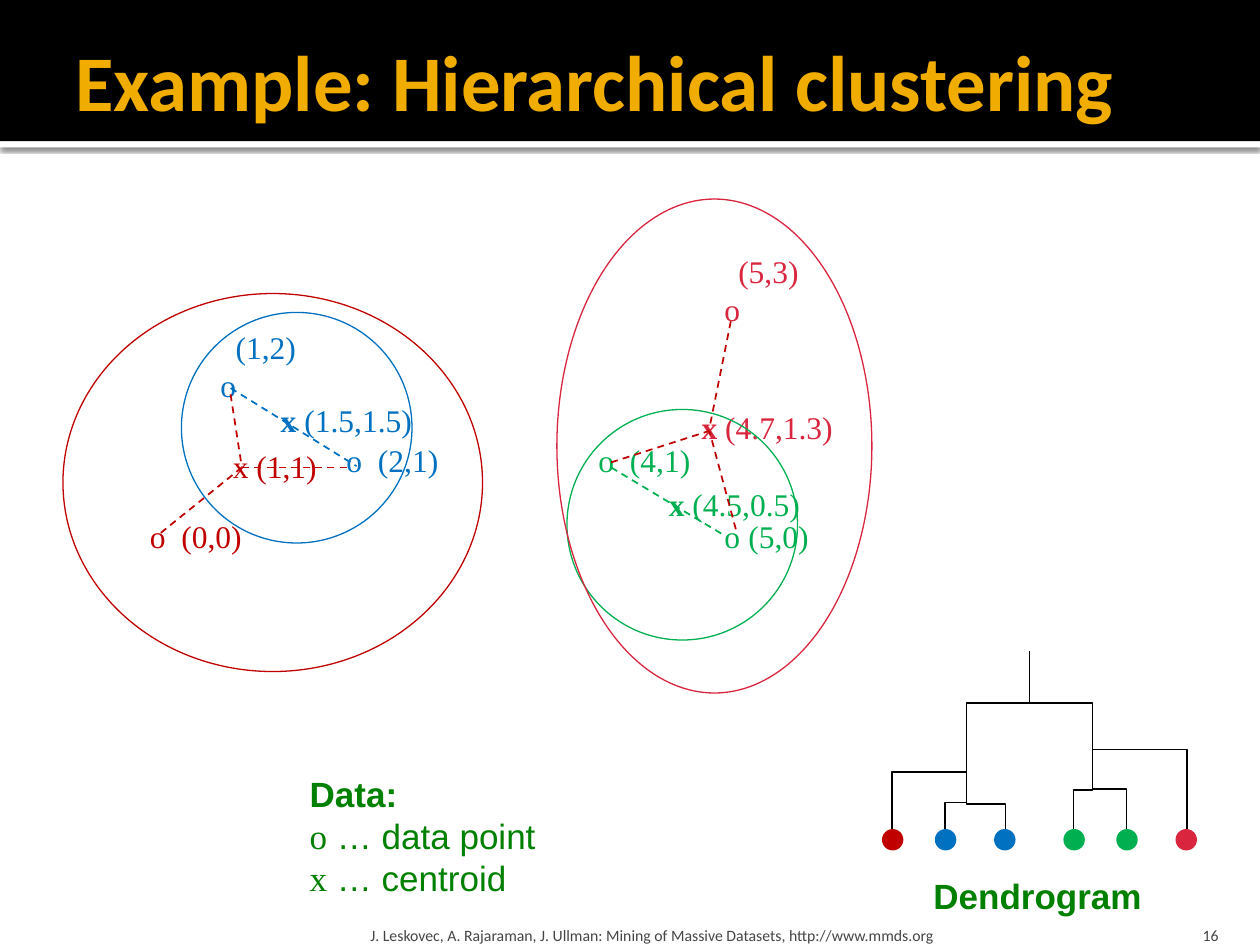
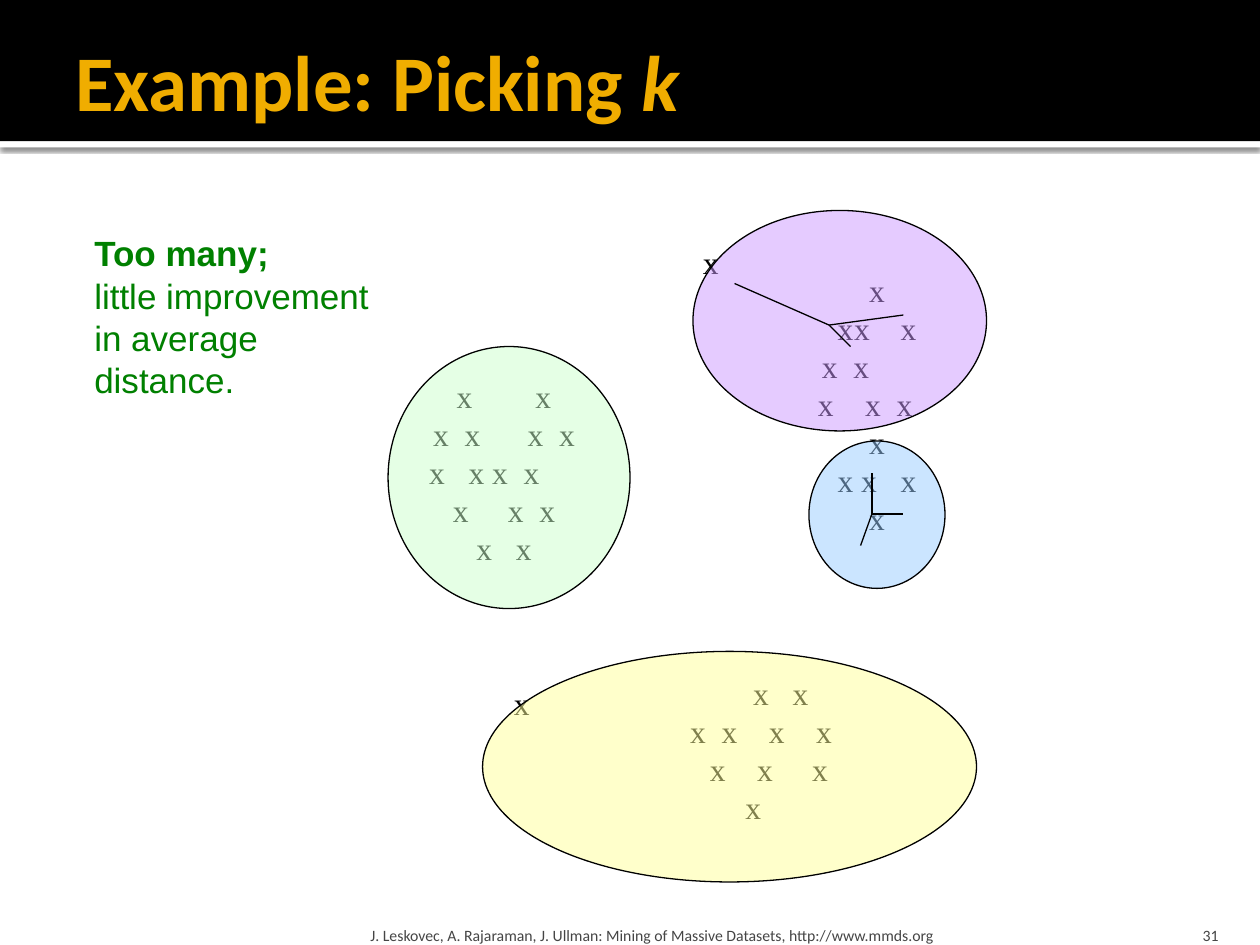
from lxml import etree
from pptx import Presentation
from pptx.dml.color import RGBColor
from pptx.enum.dml import MSO_LINE
from pptx.enum.shapes import MSO_CONNECTOR, MSO_SHAPE
from pptx.enum.text import MSO_ANCHOR, PP_ALIGN
from pptx.oxml.ns import qn
from pptx.util import Inches, Pt

RECT, OVAL = MSO_SHAPE.RECTANGLE, MSO_SHAPE.OVAL
STRAIGHT, ELBOW = MSO_CONNECTOR.STRAIGHT, MSO_CONNECTOR.ELBOW
DASH = MSO_LINE.DASH
TOP, MIDDLE, BOTTOM = MSO_ANCHOR.TOP, MSO_ANCHOR.MIDDLE, MSO_ANCHOR.BOTTOM
LEFT, RIGHT = PP_ALIGN.LEFT, PP_ALIGN.RIGHT
SERIF, SANS, HEADING = "Times New Roman", "Arial", "Calibri"
COLORS = {
    "black": "000000", "white": "FFFFFF", "gold": "F0AD00", "gray": "454545",
    "blue": "0070C0", "green": "00B050", "red": "C00000", "rose": "D9253E",
    "note": "008000", "pale yellow": "FFFF99", "pale green": "CCFFCC",
    "pale purple": "CC99FF", "pale blue": "99CCFF",
}
FOOTER = "J. Leskovec, A. Rajaraman, J. Ullman: Mining of Massive Datasets, http://www.mmds.org"
PAD = (0.1, 0.05, 0.1, 0.05)
FLUSH = (0, 0, 0, 0)
ROW = 0.3
SPACE = 1 / 16


def write(page, lines, left, top, width, height, size=18, font=SERIF, color="black",
          bold=False, align=LEFT, anchor=TOP, insets=PAD):
    box = page.shapes.add_textbox(Inches(left), Inches(top), Inches(width), Inches(height))
    frame = box.text_frame
    frame.word_wrap = True
    frame.vertical_anchor = anchor
    frame.margin_left, frame.margin_top, frame.margin_right, frame.margin_bottom = map(Inches, insets)
    for number, line in enumerate(lines):
        para = frame.paragraphs[0] if number == 0 else frame.add_paragraph()
        para.alignment = align
        para.line_spacing = Pt(round(size * 1.205, 1))
        for text, changes in line:
            span = para.add_run()
            span.text = text
            span.font.size = Pt(size)
            span.font.name = changes.get("font", font)
            span.font.bold = changes.get("bold", bold)
            span.font.italic = changes.get("italic", False)
            span.font.color.rgb = RGBColor.from_string(COLORS[color])
    return frame


def draw_line(page, start, end, color="black", width=1.0, dash=None, kind=STRAIGHT):
    line = page.shapes.add_connector(kind, *map(Inches, start + end))
    line.line.color.rgb = RGBColor.from_string(COLORS[color])
    line.line.width = Pt(width)
    if dash:
        line.line.dash_style = dash
    etree.SubElement(line._element.spPr, qn("a:effectLst"))
    return line


deck = Presentation()
deck.slide_width, deck.slide_height = Inches(10), Inches(7.5)

pages = []
for title, number in (
    ([("Example: Hierarchical clustering", {})], "16"),
    ([("Example: Picking ", {}), ("k", {"italic": True})], "31"),
):
    page = deck.slides.add_slide(deck.slide_layouts[6])
    pages.append(page)
    for color, top, height in (("white", 1.12, 0.05), ("black", 0, 1.12)):
        band = page.shapes.add_shape(RECT, 0, Inches(top), Inches(10), Inches(height))
        band.shadow.inherit = False
        band.fill.solid()
        band.fill.fore_color.rgb = RGBColor.from_string(COLORS[color])
        band.line.fill.background()
        if color == "white":
            effects = band._element.spPr.find(qn("a:effectLst"))
            shadow = etree.SubElement(effects, qn("a:outerShdw"), blurRad=str(Pt(2.5)),
                                      dist=str(Pt(0.8)), dir="5400000")
            shade = etree.SubElement(shadow, qn("a:srgbClr"), val=COLORS["black"])
            etree.SubElement(shade, qn("a:alpha"), val="60000")
    write(page, [title], 0.5, 0.17, 9, 0.92, size=45, font=HEADING, color="gold", bold=True,
          anchor=MIDDLE, insets=(0.1, 0.05, 0.05, 0.05))
    write(page, [[(FOOTER, {})]], 2.89, 7.2, 6.02, 0.3, size=9, font=HEADING, color="gray",
          anchor=BOTTOM, insets=(0.05, 0.05, 0.05, 0))
    write(page, [[(number, {})]], 8.97, 7.2, 0.8, 0.3, size=9, font=HEADING, color="gray",
          align=RIGHT, anchor=BOTTOM, insets=(0.1, 0.05, 0.1, 0))

clustering, picking = pages

for color, point_left, point_row, label, label_left, label_row in (
    ("rose", 5.75, 1, "(5,3)", 5.86, 0),
    ("blue", 1.75, 3, "(1,2)", 1.87, 2),
    ("blue", 2.75, 5, "(2,1)", 3, 5),
    ("green", 4.75, 5, "(4,1)", 5, 5),
    ("red", 1.19, 7, "(0,0)", 1.44, 7),
    ("green", 5.75, 7, "(5,0)", 5.94, 7),
):
    for text, left, row in (("o", point_left, point_row), (label, label_left, label_row)):
        write(clustering, [[(text, {})]], left, 2 + row * ROW, 0.7, ROW,
              color=color, insets=FLUSH)

for color, left, top, bold, label in (
    ("blue", 2.13, 3.13, True, " (1.5,1.5)"),
    ("green", 5.21, 3.8, True, " (4.5,0.5)"),
    ("red", 1.75, 3.5, False, " (1,1)"),
    ("rose", 5.47, 3.19, True, " (4.7,1.3)"),
):
    write(clustering, [[("x", {"bold": bold}), (label, {})]], left, top, 1.4, 0.4, color=color)

DOT = 0.17
rings = [
    ("blue", 1.44, 2.48, 1.83, 1.83), ("green", 4.5, 3.25, 1.83, 1.83),
    ("red", 0.5, 2.33, 3.33, 3), ("rose", 4.42, 1.58, 2.5, 3.92),
]
leaves = [
    (color, left, 6.58, DOT, DOT) for color, left in (
        ("red", 7), ("blue", 7.42), ("blue", 7.89),
        ("green", 8.44), ("green", 8.86), ("rose", 9.33))
]
for color, left, top, width, height in rings + leaves:
    oval = clustering.shapes.add_shape(OVAL, *map(Inches, (left, top, width, height)))
    oval.shadow.inherit = False
    if width == DOT:
        oval.fill.solid()
        oval.fill.fore_color.rgb = RGBColor.from_string(COLORS[color])
        oval.line.fill.background()
    else:
        oval.fill.background()
        oval.line.color.rgb = RGBColor.from_string(COLORS[color])
        oval.line.width = Pt(0.75)

for x1, y1, x2, y2, bend in (
    (7.08, 6.58, 7.67, 5.67, 6.13),
    (7.5, 6.58, 7.67, 6.08, 6.37),
    (7.98, 6.58, 7.67, 6.17, 6.38),
    (8.52, 6.58, 8.67, 6.17, 6.27),
    (8.94, 6.58, 8.67, 5.92, 6.26),
    (9.42, 6.58, 8.67, 5.58, 5.95),
    (7.67, 6, 8.17, 5.17, 5.58),
    (8.67, 5.83, 8.17, 5.17, 5.58),
):
    rise, run = y1 - y2, abs(x2 - x1)
    left, top = (x1 + x2 - rise) / 2, (y1 + y2 - run) / 2
    branch = draw_line(clustering, (left, top), (left + rise, top + run), kind=ELBOW)
    frame = branch._element.spPr.find(qn("a:xfrm"))
    frame.set("rot", "5400000" if x2 > x1 else "16200000")
    frame.set("flipV", "1")
    if x2 > x1:
        frame.set("flipH", "1")
    geometry = branch._element.spPr.find(qn("a:prstGeom"))
    adjustments = geometry.find(qn("a:avLst"))
    if adjustments is None:
        adjustments = etree.SubElement(geometry, qn("a:avLst"))
    etree.SubElement(adjustments, qn("a:gd"), name="adj1",
                     fmla=f"val {round((y1 - bend) / rise * 100000)}")

write(clustering, [
    [("Data:", {"bold": True})],
    [("o", {"font": SERIF}), (" … data point", {})],
    [("x", {"font": SERIF}), (" … centroid", {})],
], 2.36, 6.08, 2.4, 1.11, size=20, font=SANS, color="note")
write(clustering, [[("Dendrogram", {})]], 7.31, 6.89, 2, 0.44,
      size=20, font=SANS, color="note", bold=True)

for color, start, end in (
    ("blue", (1.83, 3.08), (2.83, 3.7)),
    ("green", (4.85, 3.71), (5.75, 4.25)),
    ("red", (1.83, 3.13), (1.92, 3.71)),
    ("red", (2.75, 3.71), (1.92, 3.71)),
    ("red", (1.92, 3.71), (1.25, 4.25)),
    ("red", (5.8, 2.55), (5.63, 3.4)),
    ("red", (4.85, 3.67), (5.63, 3.42)),
    ("red", (5.84, 4.2), (5.63, 3.42)),
):
    draw_line(clustering, start, end, color, dash=DASH)

for center, top, rows in (
    (4, 2.99, [(-6, 4), (-9, -5, 3, 7), (-9.5, -4.5, -1.5, 2.5), (-6.5, 0.5, 4.5), (-3.5, 1.5)]),
    (6.96, 2.15, [(-1,), (-5, -2.9, 3), (-7, -3), (-7.5, -1.5, 2.5), (-1,), (-5, -2, 3), (-1,)]),
    (6.04, 5.35, [(-1, 4), (-9, -5, 1, 7), (-6.5, -0.5, 6.5), (-2,)]),
):
    lines = [[("\tx" * len(row), {})] for row in rows]
    frame = write(picking, lines, center - 1, top, 2, len(rows) * ROW, insets=FLUSH)
    for para, row in zip(frame.paragraphs, rows):
        stops = etree.SubElement(para._p.get_or_add_pPr(), qn("a:tabLst"))
        for column in row:
            etree.SubElement(stops, qn("a:tab"), pos=str(Inches(1 + column * SPACE)), algn="l")

for left, top in ((5.48, 1.88), (3.98, 5.38)):
    write(picking, [[("x", {})]], left, top, 0.37, 0.5)

for color, left, top, width, height in (
    ("pale yellow", 3.83, 5.17, 3.92, 1.83),
    ("pale green", 3.08, 2.75, 1.92, 2.08),
    ("pale purple", 5.5, 1.67, 2.33, 1.75),
    ("pale blue", 6.42, 3.5, 1.08, 1.17),
):
    cluster = picking.shapes.add_shape(OVAL, *map(Inches, (left, top, width, height)))
    cluster.shadow.inherit = False
    cluster.fill.solid()
    cluster.fill.fore_color.rgb = RGBColor.from_string(COLORS[color])
    tint = cluster._element.spPr.find(qn("a:solidFill"))[0]
    etree.SubElement(tint, qn("a:alpha"), val="50000")
    cluster.line.color.rgb = RGBColor.from_string(COLORS["black"])
    cluster.line.width = Pt(0.75)

for centroid, ends in (
    ((6.58, 2.58), ((5.83, 2.25), (7.17, 2.5), (6.75, 2.75))),
    ((6.92, 4.08), ((6.92, 3.75), (7.17, 4.08), (6.83, 4.33))),
):
    for end in ends:
        draw_line(picking, centroid, end, width=0.75)

write(picking, [
    [("Too many;", {"bold": True})],
    [("little improvement", {})],
    [("in average", {})],
    [("distance.", {})],
], 0.65, 1.79, 2.6, 1.45, size=20, font=SANS, color="note")

deck.save("out.pptx")
